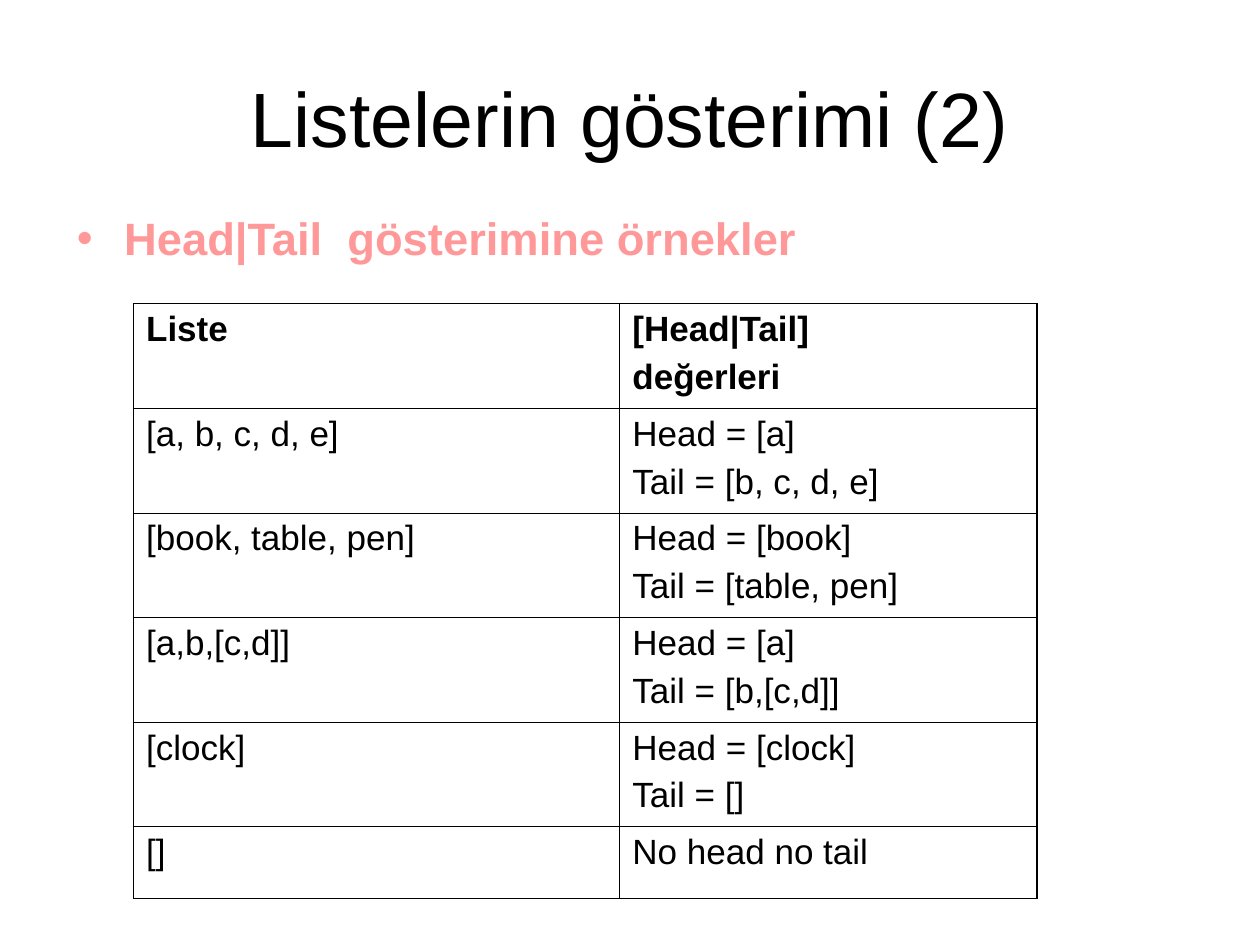
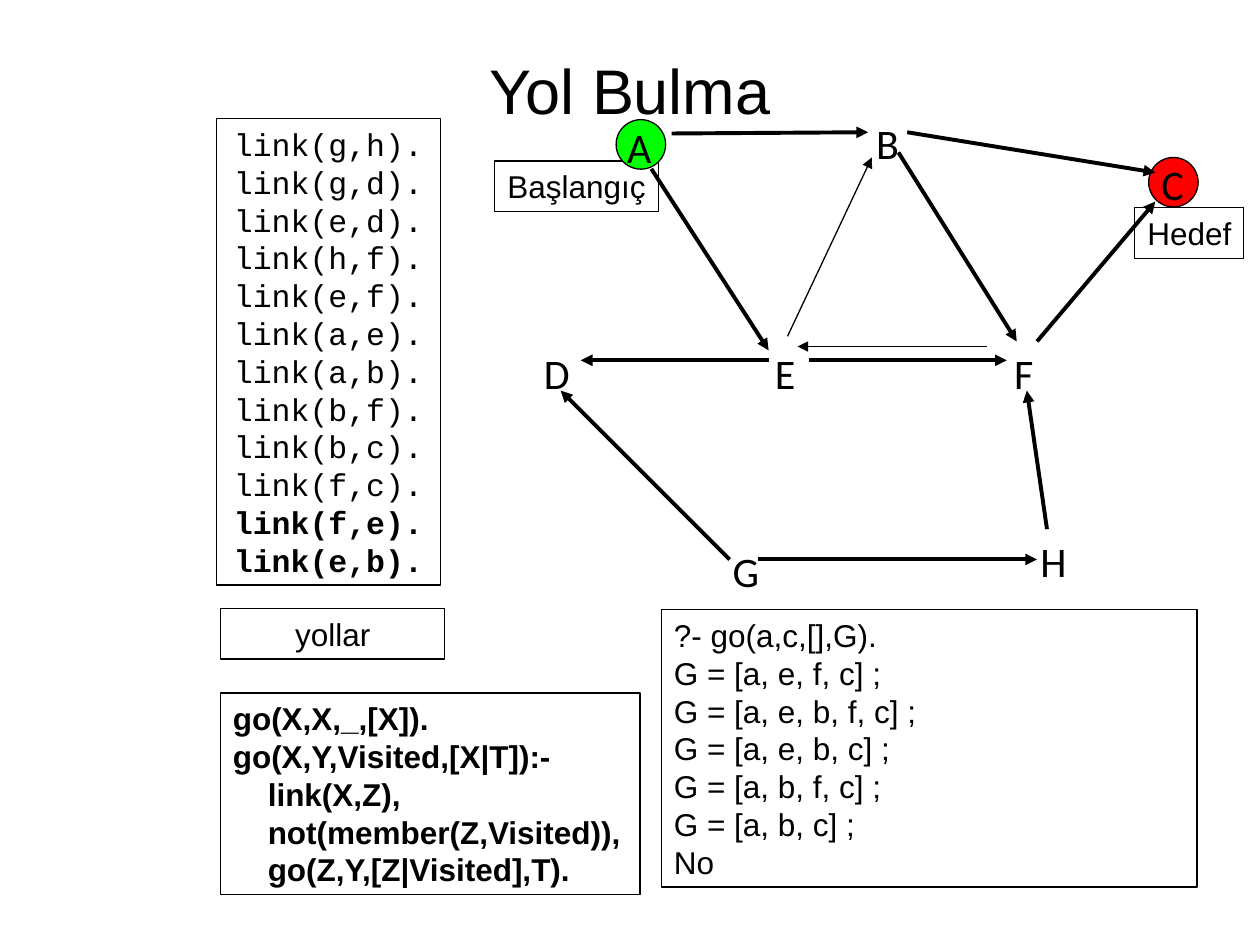
import pptx
import pptx.dml.color
import pptx.enum.shapes
import pptx.enum.text
import pptx.oxml
import pptx.oxml.ns
import pptx.util

Pt = pptx.util.Pt
RGBColor = pptx.dml.color.RGBColor
MSO_SHAPE = pptx.enum.shapes.MSO_SHAPE
ANCHOR = pptx.enum.text.MSO_ANCHOR
ALIGN = pptx.enum.text.PP_ALIGN
qn = pptx.oxml.ns.qn
DRAWING_NS = pptx.oxml.ns.nsdecls("a")

BLACK = RGBColor(0x00, 0x00, 0x00)
WHITE = RGBColor(0xFF, 0xFF, 0xFF)
PINK = RGBColor(0xFF, 0x99, 0x99)
START_GREEN = RGBColor(0x00, 0xFF, 0x00)
GOAL_RED = RGBColor(0xFF, 0x00, 0x00)

LINE_PITCH = 1.2
THIN, THICK = 0.75, 2.25
INNER_BORDER, OUTER_BORDER = 0.45, 1.08

LIST_ROWS = [
    ("Liste", "[Head|Tail]\ndeğerleri"),
    ("[a, b, c, d, e]", "Head = [a]\nTail = [b, c, d, e]"),
    ("[book, table, pen]", "Head = [book]\nTail = [table, pen]"),
    ("[a,b,[c,d]]", "Head = [a]\nTail = [b,[c,d]]"),
    ("[clock]", "Head = [clock]\nTail = []"),
    ("[]", "No head no tail"),
]

LINK_FACTS = """link(g,h).
link(g,d).
link(e,d).
link(h,f).
link(e,f).
link(a,e).
link(a,b).
link(b,f).
link(b,c).
link(f,c).
link(f,e).
link(e,b)."""

GO_RULES = """go(X,X,_,[X]).
go(X,Y,Visited,[X|T]):-
    link(X,Z),
    not(member(Z,Visited)),
    go(Z,Y,[Z|Visited],T)."""

QUERY_ANSWERS = """?- go(a,c,[],G).
G = [a, e, f, c] ;
G = [a, e, b, f, c] ;
G = [a, e, b, c] ;
G = [a, b, f, c] ;
G = [a, b, c] ;
No"""

# Letter of each node: centre and top of its label
NODES = {
    "A": (365.4, 66.2), "B": (507.2, 63.4), "C": (670, 87.1),
    "F": (585, 195.1), "E": (448.6, 195.1), "D": (318.2, 195.1),
    "G": (426.2, 308.2), "H": (602, 302.4),
}

# Start and end of each arrow
LINKS = [
    ((372.2, 96.5), (439.2, 200.2)),    # A to E
    ((383.8, 76.3), (496.1, 75.6)),     # A to B
    ((439.2, 205.9), (331.9, 205.9)),   # E to D
    ((416.9, 319.7), (320.4, 223.2)),   # G to D
    ((433.4, 319.7), (592.6, 319.7)),   # G to H
    ((598.3, 302.4), (586.8, 223.2)),   # H to F
    ((462.2, 205.9), (575.3, 205.9)),   # E to F
    ((592.6, 195.1), (660.2, 115.2)),   # F to C
    ((513.4, 87.1), (581, 195.1)),      # B to F
    ((518.4, 75.6), (660.2, 98.6)),     # B to C
]
ADDED_LINKS = [
    ((563.8, 198), (455.8, 198)),       # F to E
    ((450, 192.2), (498.2, 90)),        # E to B
]


def write_text(frame, text, size=18, font="Arial", color=BLACK, bold=False,
               align=ALIGN.LEFT, anchor=ANCHOR.TOP, wrap=True, gap=0,
               pitch=None, bold_last=0):
    """Fill a text frame; bold_last is the number of closing lines in bold."""
    frame.word_wrap = wrap
    frame.auto_size = pptx.enum.text.MSO_AUTO_SIZE.NONE
    frame.vertical_anchor = anchor
    lines = text.split("\n")
    for index, line in enumerate(lines):
        para = frame.add_paragraph() if index else frame.paragraphs[0]
        para.alignment = align
        para.space_before = Pt(gap if index else 0)
        if pitch:
            para.line_spacing = Pt(size * pitch)
        span = para.add_run()
        span.text = line
        span.font.size = Pt(size)
        span.font.name = font
        span.font.bold = bold or index >= len(lines) - bold_last
        span.font.color.rgb = color


def place(shape, left, top, width, height):
    shape.left, shape.top = Pt(left), Pt(top)
    shape.width, shape.height = Pt(width), Pt(height)


def add_title(page, text, size, height):
    title = page.shapes.title
    place(title, 36, 21.6, 648, height)
    write_text(title.text_frame, text, size=size, align=ALIGN.CENTER,
               anchor=ANCHOR.MIDDLE)


def add_bullet(page, text):
    body = page.placeholders[1]
    place(body, 36.7, 116.6, 613.4, 38.2)
    write_text(body.text_frame, text, size=25.9, color=PINK, bold=True)
    properties = body.text_frame.paragraphs[0]._p.get_or_add_pPr()
    properties.append(pptx.oxml.parse_xml(
        f'<a:buClr {DRAWING_NS}><a:srgbClr val="{PINK}"/></a:buClr>'))
    properties.append(pptx.oxml.parse_xml(
        f'<a:buChar {DRAWING_NS} char="•"/>'))


def set_borders(cell, **widths):
    """Draw the sides L, R, T and B of a cell, given in this order."""
    properties = cell._tc.get_or_add_tcPr()
    for index, (side, width) in enumerate(widths.items()):
        properties.insert(index, pptx.oxml.parse_xml(
            f'<a:ln{side} {DRAWING_NS} w="{Pt(width)}"><a:solidFill>'
            f'<a:srgbClr val="{BLACK}"/></a:solidFill></a:ln{side}>'))


def add_list_table(page, rows):
    widths = [277.9, 238.3]
    heights = [59.8] * (len(rows) - 1) + [41]
    table = page.shapes.add_table(
        len(rows), len(widths), Pt(76.3), Pt(173.5),
        Pt(sum(widths)), Pt(sum(heights))).table
    table.first_row = table.horz_banding = False
    for column, width in zip(table.columns, widths):
        column.width = Pt(width)

    def border(is_outer):
        return OUTER_BORDER if is_outer else INNER_BORDER

    for r, texts in enumerate(rows):
        table.rows[r].height = Pt(heights[r])
        for c, text in enumerate(texts):
            cell = table.cell(r, c)
            cell.fill.background()
            write_text(cell.text_frame, text, size=20, bold=r == 0, gap=5)
            set_borders(cell, L=border(c == 0), R=border(c == len(widths) - 1),
                        T=border(r == 0), B=border(r == len(rows) - 1))


def add_outlined(page, kind, left, top, width, height, fill=None):
    shape = page.shapes.add_shape(kind, Pt(left), Pt(top), Pt(width), Pt(height))
    shape.shadow.inherit = False
    if fill is None:
        shape.fill.background()
    else:
        shape.fill.solid()
        shape.fill.fore_color.rgb = fill
    shape.line.color.rgb = BLACK
    shape.line.width = Pt(THIN)
    return shape


def add_frame(page, text, left, top, width, height, fill=None, **style):
    box = add_outlined(page, MSO_SHAPE.RECTANGLE, left, top, width, height, fill)
    write_text(box.text_frame, text, pitch=LINE_PITCH, **style)


def add_node_label(page, letter, center, top):
    width = 30
    box = page.shapes.add_textbox(Pt(center - width / 2), Pt(top), Pt(width), Pt(36))
    write_text(box.text_frame, letter, size=24, font="Calibri",
               align=ALIGN.CENTER, wrap=False, pitch=LINE_PITCH)


def add_arrow(page, start, end, width):
    arrow = page.shapes.add_connector(
        pptx.enum.shapes.MSO_CONNECTOR.STRAIGHT, *map(Pt, start + end))
    arrow.line.color.rgb = BLACK
    arrow.line.width = Pt(width)
    arrow.line._get_or_add_ln().append(
        pptx.oxml.parse_xml(f'<a:tailEnd {DRAWING_NS} type="triangle"/>'))
    arrow._element.spPr.append(
        pptx.oxml.parse_xml(f"<a:effectLst {DRAWING_NS}/>"))


def build_list_page(deck):
    page = deck.slides.add_slide(deck.slide_layouts[1])
    add_title(page, "Listelerin gösterimi (2)", 44, 90)
    add_bullet(page, "Head|Tail  gösterimine örnekler")
    add_list_table(page, LIST_ROWS)


def build_path_page(deck):
    page = deck.slides.add_slide(deck.slide_layouts[5])
    add_title(page, "Yol Bulma", 36, 59)

    centered = {"align": ALIGN.CENTER}
    add_frame(page, "Hedef", 648.5, 118.8, 62.3, 28.8, wrap=False, **centered)
    add_frame(page, "Başlangıç", 282.7, 92, 93.6, 28.8, wrap=False, **centered)
    add_outlined(page, MSO_SHAPE.OVAL, 656.4, 90, 28.3, 28.3, GOAL_RED)
    add_outlined(page, MSO_SHAPE.OVAL, 352.1, 68.4, 28.3, 28.3, START_GREEN)
    for letter, (center, top) in NODES.items():
        add_node_label(page, letter, center, top)
    for start, end in LINKS:
        add_arrow(page, start, end, THICK)

    add_frame(page, LINK_FACTS, 123.6, 67.9, 128.2, 266.4,
              font="Courier New", bold_last=2, **centered)
    add_frame(page, GO_RULES, 126, 396, 239.8, 115.2, bold=True)
    add_frame(page, QUERY_ANSWERS, 378, 348.5, 306, 158.4)
    add_frame(page, "yollar", 126, 347.8, 128.2, 28.8, fill=WHITE, **centered)
    for start, end in ADDED_LINKS:
        add_arrow(page, start, end, THIN)


def main():
    deck = pptx.Presentation()
    deck.slide_width, deck.slide_height = Pt(720), Pt(540)
    build_list_page(deck)
    build_path_page(deck)
    deck.save("out.pptx")


if __name__ == "__main__":
    main()
